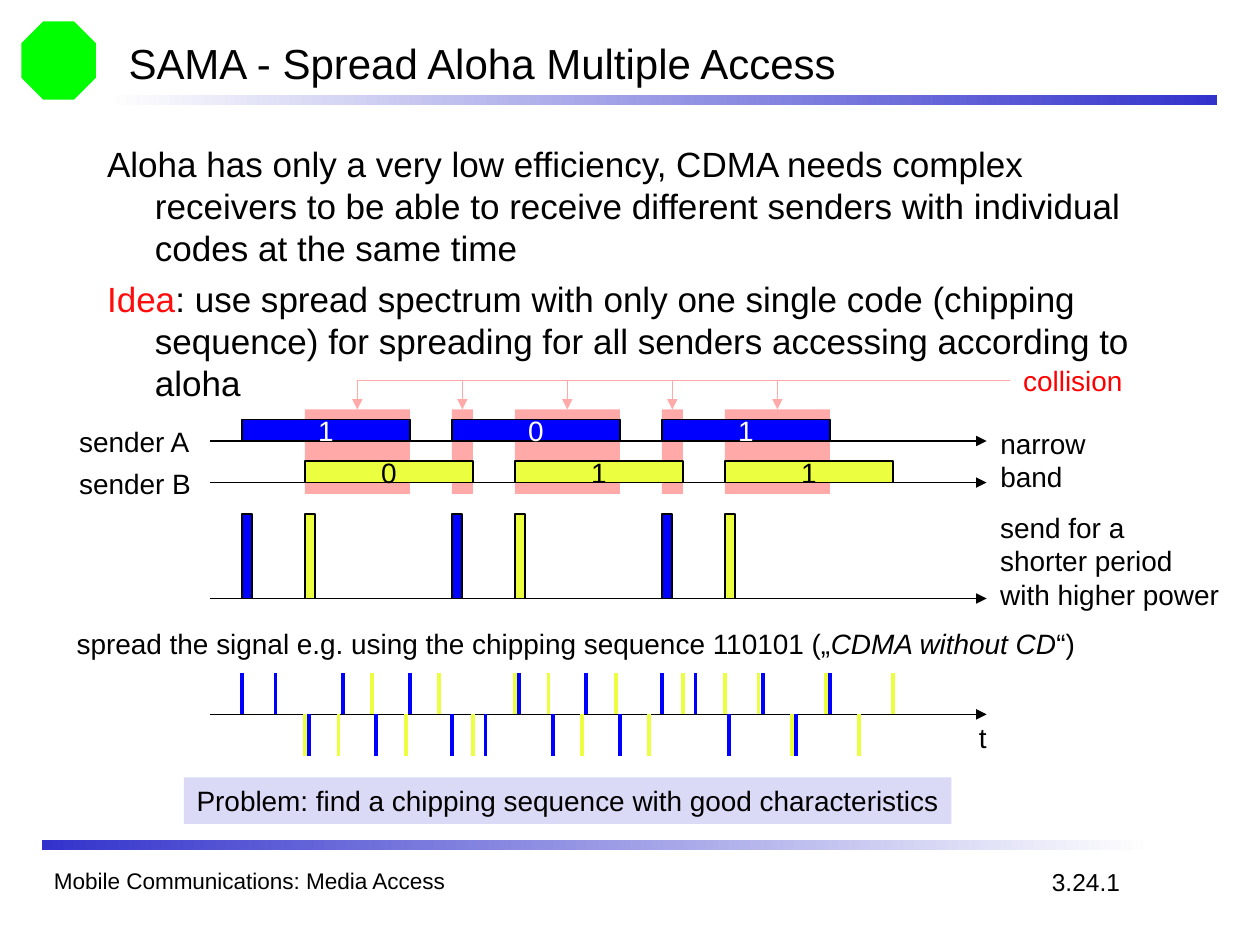
from lxml import etree
from pptx import Presentation
from pptx.dml.color import RGBColor
from pptx.enum import shapes, text
from pptx.oxml.ns import qn
from pptx.util import Inches, Pt

# Content
TITLE = "SAMA - Spread Aloha Multiple Access"
BODY = [
    [("Aloha has only a very low efficiency, CDMA needs complex receivers to be able to "
      "receive different senders with individual codes at the same time", "ink")],
    [("Idea", "idea"),
     (": use spread spectrum with only one single code (chipping sequence) for spreading "
      "for all senders accessing according to aloha", "ink")],
]
SENDERS = [  # name, bits, first bit at, axis height, fill, text colour
    ("sender A", "101", 1.92, 3.5, "blue", "paper"),
    ("sender B", "011", 2.42, 3.83, "yellow", "ink"),
]
CHIPS = "110101"
LABELS = [  # paragraphs of (text, italic) runs, box, colour, size, alignment
    ([[("narrow\vband", False)]], (7.84, 3.33, 0.88, 0.64), "ink", "label", "LEFT"),
    ([[("send for a", False)], [("shorter period", False)], [("with higher power", False)]],
     (7.84, 4, 1.94, 0.9), "ink", "label", "LEFT"),
    ([[("spread the signal e.g. using the chipping sequence 110101 („", False),
       ("CDMA without CD", True), ("“)", False)]],
     (0.51, 4.92, 8.15, 0.37), "ink", "label", "LEFT"),
    ([[("t", False)]], (7.67, 5.67, 0.26, 0.37), "ink", "label", "CENTER"),
    ([[("collision", False)]], (8.02, 2.83, 0.99, 0.37), "alert", "label", "CENTER"),
    ([[("Mobile Communications: Media Access", False)]],
     (0.33, 6.83, 4.83, 0.33), "ink", "footer", "LEFT"),
    ([[("3.24.1", False)]], (8.25, 6.83, 0.74, 0.34), "ink", "number", "LEFT"),
]
PROBLEM = "Problem: find a chipping sequence with good characteristics"

THEME = {
    "font": "Arial",
    "size": {"title": 24, "body": 20, "label": 16, "number": 14, "footer": 12.9},
    "color": {"ink": "000000", "paper": "FFFFFF", "idea": "FF0D0D", "alert": "FF0000",
              "blue": "0000FF", "yellow": "ECFE40", "clash": "FFA9A9",
              "bar": "3333CC", "panel": "DADAF6", "emblem": "00FF00"},
}

# Diagram geometry
AXIS_LEFT, AXIS_RIGHT = 1.67, 7.83
PERIOD, BIT_WIDTH, BIT_HEIGHT = 5 / 3, 4 / 3, 0.17
PULSE_AXIS, PULSE_WIDTH, PULSE_HEIGHT = 4.75, 0.08, 0.67
CHIP_AXIS, CHIP_HEIGHT = 5.67, 0.33
CLASH_TOP, CLASH_HEIGHT, COLLISION_FROM = 3.25, 0.67, (8.02, 3.02)

prs = Presentation()
prs.slide_width, prs.slide_height = Inches(10), Inches(7.5)
slide = prs.slides.add_slide(prs.slide_layouts[1])


def color(name):
    return RGBColor.from_string(THEME["color"][name])


def place(shape, box):
    shape.left, shape.top, shape.width, shape.height = map(Inches, box)


def add_run(paragraph, words, ink="ink", size="label", italic=False):
    run = paragraph.add_run()
    run.text = words
    run.font.name, run.font.size = THEME["font"], Pt(THEME["size"][size])
    run.font.color.rgb = color(ink)
    if italic:
        run.font.italic = True


def add_block(box, fill, outlined=False, kind=shapes.MSO_SHAPE.RECTANGLE):
    block = slide.shapes.add_shape(kind, *map(Inches, box))
    block.shadow.inherit = False
    block.fill.solid()
    block.fill.fore_color.rgb = color(fill)
    if outlined:
        block.line.color.rgb, block.line.width = color("ink"), Pt(0.75)
    else:
        block.line.fill.background()
    return block


def write_centred(block, words, ink="ink"):
    frame = block.text_frame
    frame.word_wrap = False
    frame.vertical_anchor = text.MSO_ANCHOR.MIDDLE
    frame.paragraphs[0].alignment = text.PP_ALIGN.CENTER
    add_run(frame.paragraphs[0], words, ink)


def add_line(start, end, ink="ink", width=0.75, arrow=False, bent=False):
    kind = shapes.MSO_CONNECTOR.ELBOW if bent else shapes.MSO_CONNECTOR.STRAIGHT
    line = slide.shapes.add_connector(kind, *map(Inches, (*start, *end)))
    line.line.color.rgb, line.line.width = color(ink), Pt(width)
    props = line._element.spPr
    if bent:  # a single corner
        props.find(qn("a:prstGeom")).set("prst", "bentConnector2")
    if arrow:
        etree.SubElement(props.find(qn("a:ln")), qn("a:tailEnd"), type="triangle")
    etree.SubElement(props, qn("a:effectLst"))


# Emblem and gradient bars
add_block((0.17, 0.17, 0.59, 0.62), "emblem", kind=shapes.MSO_SHAPE.OCTAGON)
for box, ends in [((0.83, 0.75, 8.83, 0.08), ("paper", "bar")),
                  ((0.33, 6.67, 8.83, 0.08), ("bar", "paper"))]:
    bar = add_block(box, "bar")
    bar.fill.gradient()
    bar.fill.gradient_angle = 0
    for stop, end in zip(bar.fill.gradient_stops, ends):
        stop.color.rgb = color(end)

# Title and body
title, body = slide.shapes.title, slide.placeholders[1]
place(title, (0.92, 0.25, 8.5, 0.5))
place(body, (0.75, 1.08, 8.5, 5.58))
for holder in (title, body):
    holder.text_frame.auto_size = text.MSO_AUTO_SIZE.NONE
title.text_frame.vertical_anchor = text.MSO_ANCHOR.MIDDLE
title.text_frame.paragraphs[0].alignment = text.PP_ALIGN.LEFT
add_run(title.text_frame.paragraphs[0], TITLE, size="title")
for i, runs in enumerate(BODY):
    point = body.text_frame.add_paragraph() if i else body.text_frame.paragraphs[0]
    point.space_before = Pt(5)
    layout = point._p.get_or_add_pPr()
    layout.set("marL", str(Inches(0.38)))
    layout.set("indent", str(Inches(-0.38)))
    etree.SubElement(layout, qn("a:buNone"))
    for words, ink in runs:
        add_run(point, words, ink, "body")

# Collisions: wherever a bit of A overlaps a bit of B
starts_a, starts_b = ([sender[2] + i * PERIOD for i in range(len(sender[1]))]
                      for sender in SENDERS)
clashes = [(max(a, b), min(a, b) + BIT_WIDTH)
           for a in starts_a for b in starts_b if abs(a - b) < BIT_WIDTH]
for left, right in clashes:
    add_block((left, CLASH_TOP, right - left, CLASH_HEIGHT), "clash")
    add_line(COLLISION_FROM, ((left + right) / 2, CLASH_TOP), "clash", arrow=True, bent=True)

# Time axes
for axis in [sender[3] for sender in SENDERS] + [PULSE_AXIS, CHIP_AXIS]:
    add_line((AXIS_LEFT, axis), (AXIS_RIGHT, axis), arrow=True)

# Narrow band bits, short pulses and chips of each sender
for name, bits, first, axis, fill, ink in SENDERS:
    LABELS.append(([[(name, False)]], (0.53, axis - 0.18, 1.09, 0.37), "ink", "label", "LEFT"))
    for i, bit in enumerate(bits):
        left = first + i * PERIOD
        write_centred(add_block((left, axis - BIT_HEIGHT, BIT_WIDTH, BIT_HEIGHT), fill, True),
                      bit, ink)
        add_block((left, PULSE_AXIS - PULSE_HEIGHT, PULSE_WIDTH, PULSE_HEIGHT), fill, True)
        for j, chip in enumerate(CHIPS):
            x = left + j * BIT_WIDTH / (len(CHIPS) - 1)
            tip = CHIP_AXIS + (-CHIP_HEIGHT if chip == bit else CHIP_HEIGHT)
            add_line((x, CHIP_AXIS), (x, tip), fill, 2.25)

# Labels and conclusion
for paragraphs, box, ink, size, alignment in LABELS:
    frame = slide.shapes.add_textbox(*map(Inches, box)).text_frame
    frame.word_wrap = size == "footer"
    if size == "label":
        frame.vertical_anchor = text.MSO_ANCHOR.MIDDLE
    for i, runs in enumerate(paragraphs):
        paragraph = frame.add_paragraph() if i else frame.paragraphs[0]
        paragraph.alignment = text.PP_ALIGN[alignment]
        for words, italic in runs:
            for n, part in enumerate(words.split("\v")):
                if n:
                    paragraph.add_line_break()
                add_run(paragraph, part, ink, size, italic)
write_centred(add_block((1.46, 6.17, 6.09, 0.37), "panel"), PROBLEM)

prs.save("out.pptx")
